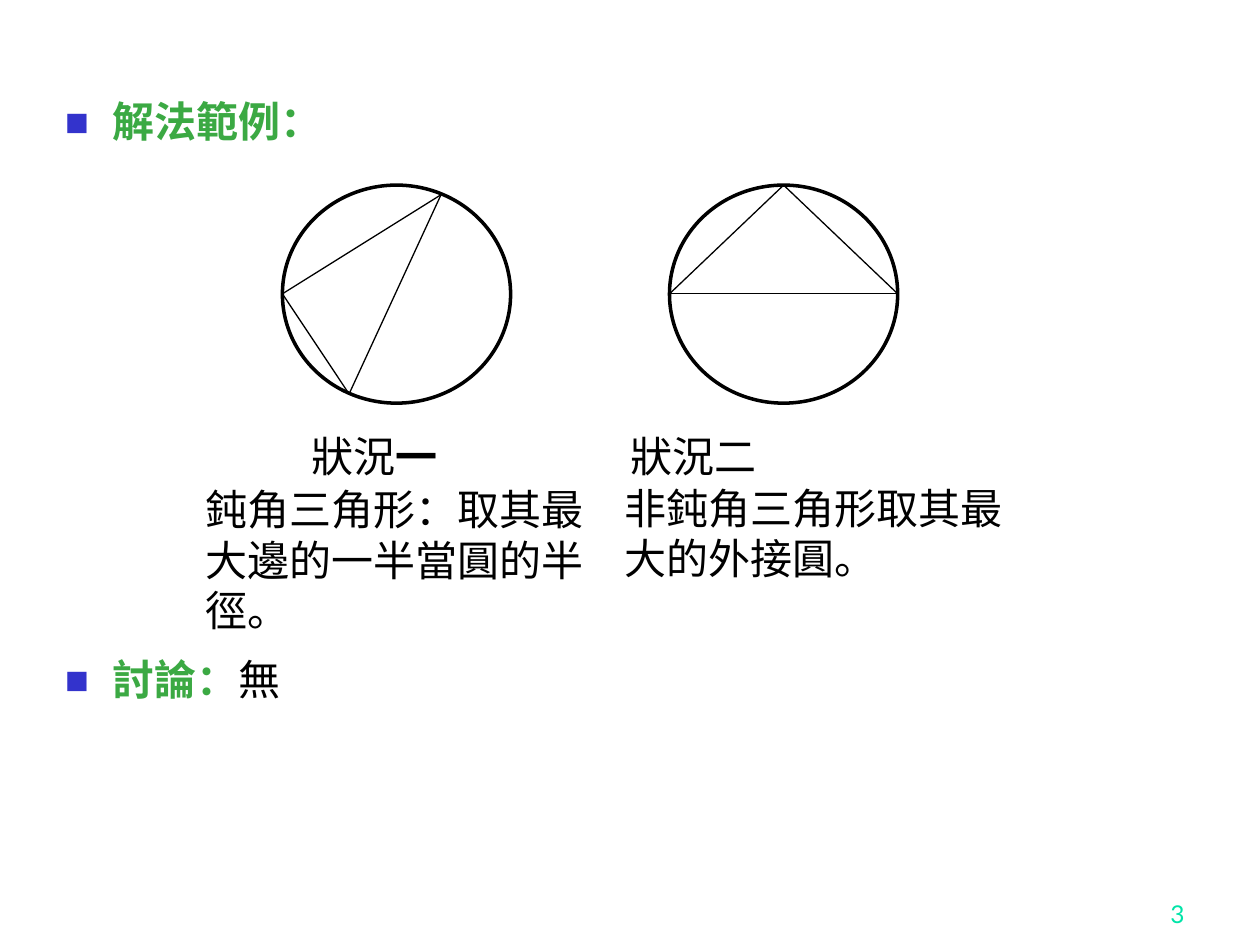
from dataclasses import dataclass
from itertools import combinations

import pptx
import pptx.util
import pptx.dml.color
import pptx.enum.shapes
import pptx.enum.text
import pptx.oxml
import pptx.oxml.ns

Pt = pptx.util.Pt
Point = tuple[float, float]


@dataclass(frozen=True)
class Theme:
    ink: str = "000000"
    paper: str = "FFFFFF"
    green: str = "3BA943"
    blue: str = "3333CC"
    mint: str = "00E4A8"
    serif: str = "Times New Roman"
    sans: str = "Lato"
    body: int = 24
    small: int = 14
    thick: float = 2
    thin: float = 0.75


@dataclass(frozen=True)
class Run:
    text: str
    color: str
    bold: bool = False
    font: str = "Times New Roman"


@dataclass(frozen=True)
class Item:
    top: float
    runs: tuple[Run, ...]


@dataclass(frozen=True)
class Case:
    """A circle with its triangle, a label and a note below."""
    left: float
    corners: tuple[Point, Point, Point]
    label: tuple[Run, ...]
    label_left: float
    note: str
    note_at: Point
    note_tall: float


THEME = Theme()
CIRCLE_TOP, WIDE, TALL = 105.8, 130.4, 124.6
MID = 167.9
LABEL_TOP = 246
INDENT = 27

ITEMS = (
    Item(54, (Run("解法範例：", THEME.green, True),)),
    Item(373, (Run("討論：", THEME.green, True),
               Run("無", THEME.ink, font=THEME.sans))),
)
CASES = (
    Case(161.4, ((161.4, MID), (252, 111.3), (199.5, 225.1)),
         (Run("狀況", THEME.ink), Run("一", THEME.ink, True)), 171,
         "鈍角三角形：取其最大邊的一半當圓的半徑。", (110.2, 272.9), 122.4),
    Case(382.6, ((382.6, MID), (513, MID), (447.8, CIRCLE_TOP)),
         (Run("狀況二", THEME.ink),), 353.4,
         "非鈍角三角形取其最大的外接圓。", (349.9, 272.2), 93.6),
)


def rgb(code: str):
    return pptx.dml.color.RGBColor.from_string(code)


def add_mark(para) -> None:
    """Give the paragraph a small square bullet and a hanging indent."""
    props = para._p.get_or_add_pPr()
    props.set("marL", str(Pt(INDENT)))
    props.set("indent", str(-Pt(INDENT)))
    space = pptx.oxml.ns.nsdecls("a")
    for xml in (f'<a:buClr {space}><a:srgbClr val="{THEME.blue}"/></a:buClr>',
                f'<a:buSzPct {space} val="60000"/>',
                f'<a:buFont {space} typeface="{THEME.sans}"/>',
                f'<a:buChar {space} char="■"/>'):
        props.append(pptx.oxml.parse_xml(xml))


def add_text(slide, runs: tuple[Run, ...], left: float, top: float,
             width: float, height: float, *, size: float = THEME.body,
             mark: bool = False, lines: float | None = None,
             align=pptx.enum.text.PP_ALIGN.LEFT,
             anchor=pptx.enum.text.MSO_ANCHOR.TOP) -> None:
    box = slide.shapes.add_textbox(Pt(left), Pt(top), Pt(width), Pt(height))
    frame = box.text_frame
    frame.word_wrap = True
    frame.vertical_anchor = anchor
    para = frame.paragraphs[0]
    if mark:
        add_mark(para)
    para.alignment = align
    if lines:
        para.line_spacing = lines
    for part in runs:
        run = para.add_run()
        run.text = part.text
        run.font.size = Pt(size)
        run.font.name = part.font
        run.font.bold = part.bold
        run.font.color.rgb = rgb(part.color)


def add_line(slide, start: Point, end: Point) -> None:
    line = slide.shapes.add_connector(
        pptx.enum.shapes.MSO_CONNECTOR.STRAIGHT,
        *(Pt(value) for value in start + end))
    line.line.color.rgb = rgb(THEME.ink)
    line.line.width = Pt(THEME.thin)
    line._element.spPr.append(
        pptx.oxml.parse_xml(f'<a:effectLst {pptx.oxml.ns.nsdecls("a")}/>'))


def add_case(slide, case: Case) -> None:
    ring = slide.shapes.add_shape(
        pptx.enum.shapes.MSO_SHAPE.OVAL,
        Pt(case.left), Pt(CIRCLE_TOP), Pt(WIDE), Pt(TALL))
    ring.shadow.inherit = False
    ring.fill.solid()
    ring.fill.fore_color.rgb = rgb(THEME.paper)
    ring.line.color.rgb = rgb(THEME.ink)
    ring.line.width = Pt(THEME.thick)
    for start, end in combinations(case.corners, 2):
        add_line(slide, start, end)
    add_text(slide, case.label, case.label_left, LABEL_TOP, 130, 34, lines=0.9)
    add_text(slide, (Run(case.note, THEME.ink),), *case.note_at,
             249.8, case.note_tall)


def main() -> None:
    deck = pptx.Presentation()
    deck.slide_width, deck.slide_height = Pt(720), Pt(540)
    slide = deck.slides.add_slide(deck.slide_layouts.get_by_name("Blank"))
    for item in ITEMS:
        add_text(slide, item.runs, 30.2, item.top, 635.8, 34,
                 mark=True, lines=0.9)
    for case in CASES:
        add_case(slide, case)
    add_text(slide, (Run("3", THEME.mint, font=THEME.sans),),
             534.2, 498.2, 149.8, 36, size=THEME.small,
             align=pptx.enum.text.PP_ALIGN.RIGHT,
             anchor=pptx.enum.text.MSO_ANCHOR.BOTTOM)
    deck.save("out.pptx")


if __name__ == "__main__":
    main()
